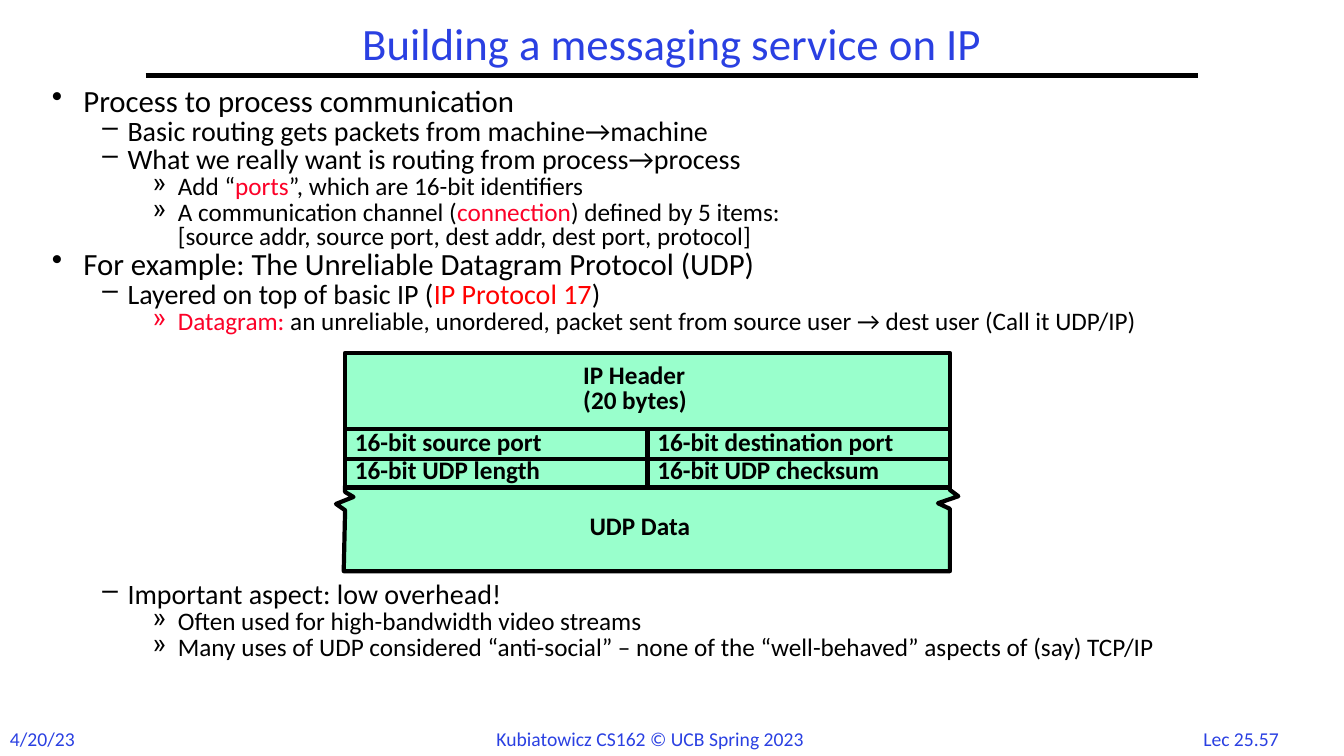
from dataclasses import dataclass

from lxml import etree
from pptx import Presentation
from pptx.dml.color import RGBColor
from pptx.enum.shapes import MSO_CONNECTOR, MSO_SHAPE
from pptx.enum.text import MSO_ANCHOR, PP_ALIGN
from pptx.oxml.ns import qn
from pptx.slide import Slide
from pptx.util import Pt

LEFT, CENTER = PP_ALIGN.LEFT, PP_ALIGN.CENTER
TOP, MIDDLE = MSO_ANCHOR.TOP, MSO_ANCHOR.MIDDLE
RECT, STRAIGHT = MSO_SHAPE.RECTANGLE, MSO_CONNECTOR.STRAIGHT

FONT = "Calibri"
BLACK = RGBColor(0, 0, 0)
BLUE = RGBColor(0x2A, 0x40, 0xE2)
RED = RGBColor(0xFC, 0x01, 0x28)
PURE = RGBColor(0xFF, 0, 0)
MINT = RGBColor(0x99, 0xFF, 0xCC)


@dataclass
class Level:
    mark: str
    size: int
    left: float
    hang: float


@dataclass
class Point:
    level: int
    words: list
    before: float = 1


@dataclass
class Label:
    text: str
    left: float
    top: float
    width: float
    height: float
    size: int = 18
    color: RGBColor = BLACK
    bold: bool = True
    align: PP_ALIGN = LEFT
    tight: float = 0.8


@dataclass
class Cell:
    text: str
    col: int
    row: int


LEVELS = [
    Level("•", 22, 22.5, 22.5),
    Level("–", 20, 54, 18),
    Level("»", 18, 90, 18),
]

POINTS = [
    Point(0, ["Process to process communication"], 0),
    Point(1, ["Basic routing gets packets from machine→machine"]),
    Point(1, ["What we really want is routing from process→process"]),
    Point(2, ["Add “", ("ports", RED), "”, which are 16-bit identifiers"]),
    Point(2, ["A communication channel (", ("connection", RED),
              ") defined by 5 items:", "\n",
              "[source addr, source port, dest addr, dest port, protocol]"]),
    Point(0, ["For example: The Unreliable Datagram Protocol (UDP)"]),
    Point(1, ["Layered on top of basic IP (", ("IP Protocol 17", PURE), ")"]),
    Point(2, [("Datagram:", RED), " an unreliable, unordered, packet sent "
              "from source user → dest user (Call it UDP/IP)"]),
    Point(1, ["Important aspect: low overhead!"], 177),
    Point(2, ["Often used for high-bandwidth video streams"]),
    Point(2, ["Many uses of UDP considered “anti-social” – none of the "
              "“well-behaved” aspects of (say) TCP/IP"]),
]

FOOTERS = [
    Label("4/20/23", 0, 515.5, 72, 24, 14, BLUE, False, LEFT, 1),
    Label("Kubiatowicz CS162 © UCB Spring 2023",
          347.5, 515.5, 265, 24, 14, BLUE, False, LEFT, 1),
    Label("Lec 25.57", 842, 515.5, 89, 24, 14, BLUE, False, CENTER, 1),
]

LABELS = [
    Label("UDP Data", 414, 365, 99, 24),
    Label("IP Header\n(20 bytes)", 409.5, 257, 99, 43),
]

CELLS = [
    Cell("16-bit UDP length", 0, 1),
    Cell("16-bit UDP checksum", 1, 1),
    Cell("16-bit source port", 0, 0),
    Cell("16-bit destination port", 1, 0),
]

GRID_X, GRID_Y = 246.5, 306
CELL_W, CELL_H, STEP = 216, 22, 20.25

TORN = [
    (245.5, 408), (678.5, 408), (678.5, 363.5), (670, 359.5),
    (684.5, 354.5), (678.5, 350), (678.5, 347), (246.5, 347),
    (246.5, 351.5), (252.5, 355), (240, 360), (246.5, 364.5),
]


def paint(shape) -> None:
    shape.shadow.inherit = False
    shape.fill.solid()
    shape.fill.fore_color.rgb = MINT
    shape.line.color.rgb = BLACK
    shape.line.width = Pt(3)


def style(para, size: int, color: RGBColor, bold: bool = False) -> None:
    font = para.font
    font.name, font.size, font.bold = FONT, Pt(size), bold
    font.color.rgb = color


def write(frame, label: Label, anchor: MSO_ANCHOR) -> None:
    frame.word_wrap = True
    frame.vertical_anchor = anchor
    for row, line in enumerate(label.text.split("\n")):
        para = frame.add_paragraph() if row else frame.paragraphs[0]
        para.text = line
        para.alignment = label.align
        para.line_spacing = label.tight
        para.space_before = Pt(1 if row else 0)
        style(para, label.size, label.color, label.bold)


def add_label(slide: Slide, label: Label) -> None:
    box = slide.shapes.add_textbox(Pt(label.left), Pt(label.top),
                                   Pt(label.width), Pt(label.height))
    write(box.text_frame, label, TOP)


def add_box(slide: Slide, left: float, top: float, width: float, height: float):
    box = slide.shapes.add_shape(RECT, Pt(left), Pt(top), Pt(width), Pt(height))
    paint(box)
    return box


def add_cell(slide: Slide, cell: Cell) -> None:
    left, top = GRID_X + cell.col * CELL_W, GRID_Y + cell.row * STEP
    box = add_box(slide, left, top, CELL_W, CELL_H)
    write(box.text_frame, Label(cell.text, left, top, CELL_W, CELL_H), MIDDLE)


def add_point(para, point: Point) -> None:
    level = LEVELS[point.level]
    para.level = point.level
    props = para._p.get_or_add_pPr()
    props.set("marL", str(Pt(level.left)))
    props.set("indent", str(-Pt(level.hang)))
    etree.SubElement(props, qn("a:buChar")).set("char", level.mark)
    para.line_spacing = 0.8
    para.space_before = Pt(point.before)
    style(para, level.size, BLACK)
    for word in point.words:
        if word == "\n":
            para.add_line_break()
            continue
        text, color = (word, None) if isinstance(word, str) else word
        run = para.add_run()
        run.text = text
        if color:
            run.font.color.rgb = color


def add_title(slide: Slide) -> None:
    title = slide.shapes.title
    title.left, title.top = Pt(104), Pt(12)
    title.width, title.height = Pt(752), Pt(42)
    label = Label("Building a messaging service on IP", 104, 12, 752, 42,
                  32, BLUE, False, CENTER, 0.9)
    write(title.text_frame, label, MIDDLE)
    rule = slide.shapes.add_connector(STRAIGHT, Pt(104), Pt(54), Pt(856), Pt(54))
    rule.line.color.rgb = BLACK
    rule.line.width = Pt(3)
    etree.SubElement(rule._element.spPr, qn("a:effectLst"))


def add_body(slide: Slide) -> None:
    box = slide.shapes.add_textbox(Pt(30), Pt(60), Pt(924), Pt(440))
    frame = box.text_frame
    frame.word_wrap = True
    for row, point in enumerate(POINTS):
        add_point(frame.add_paragraph() if row else frame.paragraphs[0], point)


def add_packet(slide: Slide) -> None:
    dots = [(Pt(x), Pt(y)) for x, y in TORN]
    pen = slide.shapes.build_freeform(*dots[0])
    pen.add_line_segments(dots[1:], close=True)
    paint(pen.convert_to_shape())
    for cell in CELLS:
        add_cell(slide, cell)
    add_box(slide, GRID_X, 252, 2 * CELL_W, 54.5)
    for label in LABELS:
        add_label(slide, label)


def main() -> None:
    deck = Presentation()
    deck.slide_width, deck.slide_height = Pt(960), Pt(540)
    slide = deck.slides.add_slide(deck.slide_layouts[5])
    add_title(slide)
    for label in FOOTERS:
        add_label(slide, label)
    add_body(slide)
    add_packet(slide)
    deck.save("out.pptx")


if __name__ == "__main__":
    main()
